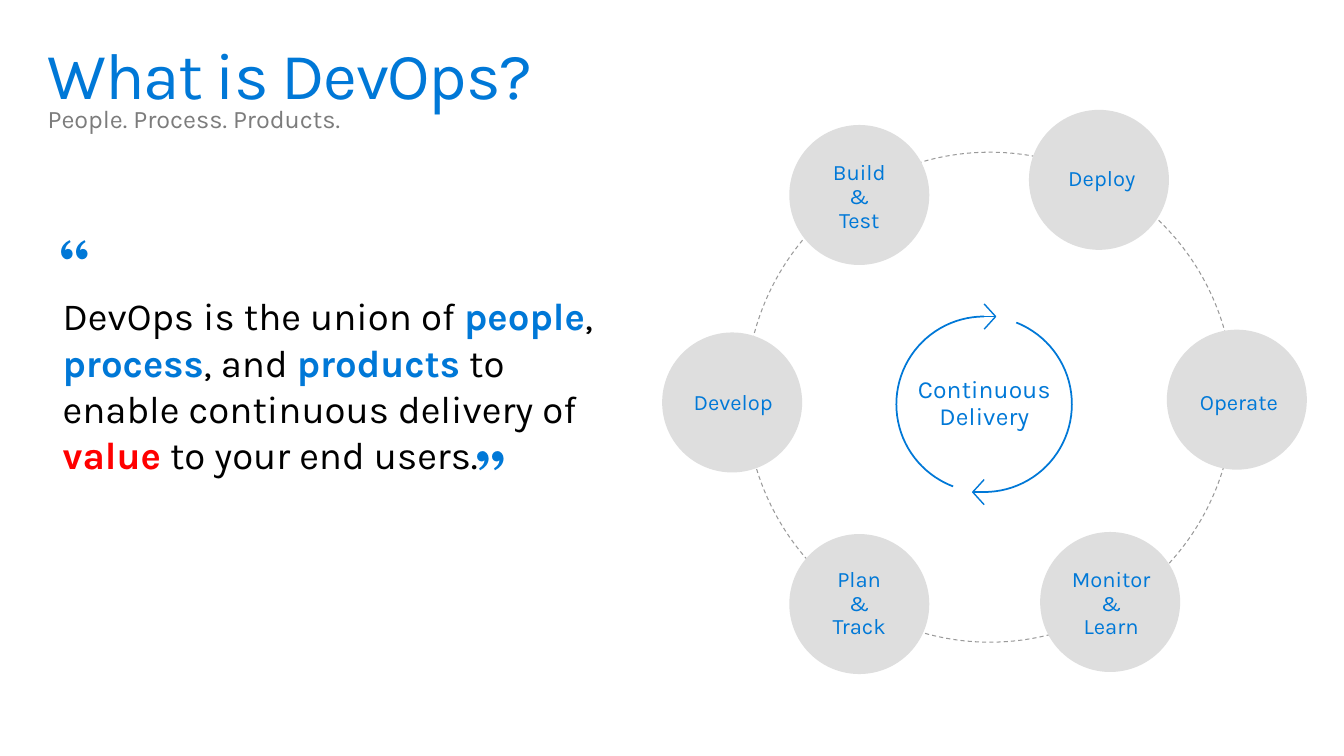
from pptx import Presentation
from pptx import util as u
from pptx.dml.color import RGBColor
from pptx.enum import dml, shapes, text
from pptx.oxml.ns import qn
from lxml import etree

COLORS = {"blue": "0078D7", "gray": "7C7C7C", "black": "000000", "red": "FF0000",
          "ring": "9A9A9A", "disc": "DEDEDE"}
LABEL_INSETS = (14.4, 11.5, 14.4, 11.5)
DISC = 100
CYCLE_X, CYCLE_Y, CYCLE_RADIUS = 703, 288.8, 62.7

STAGES = [
    ("Build\v&\vTest", (563.8, 89.3), None),
    ("Deploy", (735, 78.5), (748, 108, 78, 39.6)),
    ("Operate", (833.5, 235.5), (842.4, 268, 85, 39.6)),
    ("Monitor\v&\vLearn", (743, 380), (748, 394.5, 91.4, 74)),
    ("Plan\v&\vTrack", (563.8, 381.5), (568, 394.5, 91.4, 74)),
    ("Develop", (473, 237.5), (478, 268, 91.4, 39.6)),
]
QUOTE = [("DevOps is the union of ", "black"), ("people", "blue"), (", ", "black"),
         ("process", "blue"), (", and ", "black"), ("products", "blue"),
         (" to enable continuous delivery of ", "black"), ("value", "red"),
         (" to your end users.", "black")]


def color(name):
    return RGBColor.from_string(COLORS[name])


def points(*values):
    return [u.Pt(value) for value in values]


def style(span, size, ink="blue", name="Karla", bold=False, spacing=0):
    span.font.size = u.Pt(size)
    span.font.name = name
    span.font.bold = bold
    span.font.color.rgb = color(ink)
    if spacing:
        span.font._element.set("spc", str(round(spacing * 100)))


def set_frame(shape, insets, wrap=True, anchor=text.MSO_ANCHOR.TOP):
    frame = shape.text_frame
    frame.auto_size = text.MSO_AUTO_SIZE.NONE
    frame.word_wrap = wrap
    frame.vertical_anchor = anchor
    (frame.margin_left, frame.margin_top,
     frame.margin_right, frame.margin_bottom) = points(*insets)
    return frame


def write(shape, words, size, insets=(0, 0, 0, 0), align=text.PP_ALIGN.LEFT, leading=1.0,
          wrap=True, anchor=text.MSO_ANCHOR.TOP, **look):
    frame = set_frame(shape, insets, wrap, anchor)
    frame.text = words
    para = frame.paragraphs[0]
    para.alignment = align
    para.line_spacing = leading
    para.space_before = u.Pt(0)
    for span in para.runs:
        style(span, size, **look)
    return para


def add_box(page, place):
    return page.shapes.add_textbox(*points(*place))


def place_placeholder(shape, place):
    shape.left, shape.top, shape.width, shape.height = points(*place)


def add_preset(page, kind, place, fill=None, line=None, width=1.25):
    shape = page.shapes.add_shape(kind, *points(*place))
    shape.shadow.inherit = False
    if fill:
        shape.fill.solid()
        shape.fill.fore_color.rgb = color(fill)
    else:
        shape.fill.background()
    set_line(shape, line, width)
    return shape


def set_line(shape, line, width):
    if line:
        shape.line.color.rgb = color(line)
        shape.line.width = u.Pt(width)
    else:
        shape.line.fill.background()


def add_quote(page):
    box = add_box(page, (34, 149, 417.6, 306))
    para = set_frame(box, (10.8, 60, 14.4, 11.5)).paragraphs[0]
    for words, ink in QUOTE:
        span = para.add_run()
        span.text = words
        style(span, 27.4, ink, bold=ink != "black")
    for mark, place in (("“", (34, 149, 61, 85)), ("”", (331.2, 300.2, 60, 83))):
        write(add_box(page, place), mark, 62.7, (7.2, 3.6, 7.2, 3.6), wrap=False,
              name="TeX Gyre Bonum", spacing=-0.1)


def add_stage(page, words, corner, label_place):
    disc = add_preset(page, shapes.MSO_SHAPE.OVAL, (*corner, DISC, DISC), fill="disc")
    target = add_box(page, label_place) if label_place else disc
    write(target, words, 15.7, LABEL_INSETS, text.PP_ALIGN.CENTER, 0.9, wrap=False)


def add_cycle_arc(page, start, end):
    side = 2 * CYCLE_RADIUS
    arc = add_preset(page, shapes.MSO_SHAPE.ARC,
                     (CYCLE_X - CYCLE_RADIUS, CYCLE_Y - CYCLE_RADIUS, side, side), line="blue")
    arc.adjustments[0] = start * 0.6
    arc.adjustments[1] = end * 0.6


def add_cycle_arrow(page, direction):
    tip_x = CYCLE_X + direction * 8.2
    tip_y = CYCLE_Y - direction * CYCLE_RADIUS
    builder = page.shapes.build_freeform(*points(CYCLE_X, tip_y + 9))
    builder.add_line_segments([points(tip_x, tip_y), points(CYCLE_X, tip_y - 9)], close=False)
    head = builder.convert_to_shape()
    head.shadow.inherit = False
    head.fill.background()
    set_line(head, "blue", 1)
    shaft = page.shapes.add_connector(shapes.MSO_CONNECTOR.STRAIGHT,
                                      *points(CYCLE_X, tip_y, tip_x, tip_y))
    set_line(shaft, "blue", 1)
    etree.SubElement(shaft._element.spPr, qn("a:effectLst"))


def add_cycle(page):
    write(add_box(page, (638, 244.8, 130.3, 87.8)), "Continuous\vDelivery", 17.6,
          align=text.PP_ALIGN.CENTER, leading=0.9, anchor=text.MSO_ANCHOR.MIDDLE, spacing=0.1)
    add_cycle_arc(page, 291.5, 90)
    add_cycle_arc(page, 110.7, 270)
    for direction in (1, -1):
        add_cycle_arrow(page, direction)


def add_heading(page):
    title, subtitle = page.shapes.title, page.placeholders[1]
    place_placeholder(title, (34, 17.5, 893, 58.5))
    write(title, "What is DevOps?", 47, (0, 13, 0, 0), leading=0.9, spacing=-1)
    place_placeholder(subtitle, (34, 74, 893, 21.6))
    para = write(subtitle, "People. Process. Products.", 18, ink="gray")
    properties = para._p.get_or_add_pPr()
    properties.set("marL", "0")
    properties.set("indent", "0")
    etree.SubElement(properties, qn("a:buNone"))


def main():
    deck = Presentation()
    deck.slide_width, deck.slide_height = points(960, 540)
    page = deck.slides.add_slide(deck.slide_layouts[1])
    add_heading(page)
    add_quote(page)
    ring = add_preset(page, shapes.MSO_SHAPE.OVAL, (532.8, 108.7, 348.5, 350),
                      line="ring", width=0.75)
    ring.line.dash_style = dml.MSO_LINE.DASH
    for stage in STAGES:
        add_stage(page, *stage)
    add_cycle(page)
    deck.save("out.pptx")


if __name__ == "__main__":
    main()
